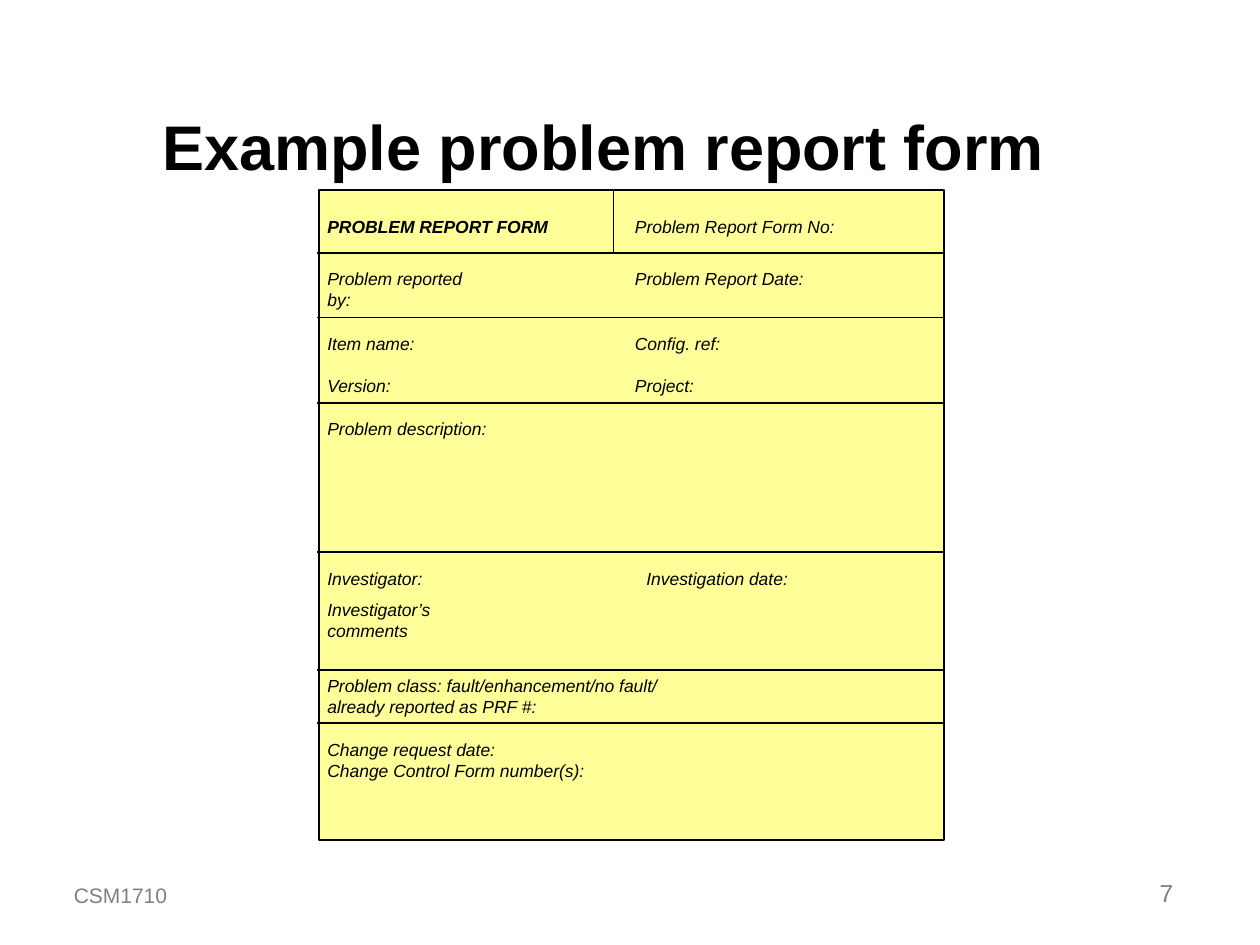
from lxml import etree
from pptx import Presentation
from pptx import util as u
from pptx.dml.color import RGBColor
from pptx.enum import shapes, text
from pptx.oxml.ns import qn

Cm, Pt = u.Cm, u.Pt
COLORS = {"ink": "000000", "form": "FFFF99", "footer": "808080"}
FONT = "Arial"

# Form geometry in cm
LEFT, RIGHT, TOP, BOTTOM = 6.4, 19.05, 3.83, 16.94
RULES = [5.1, 6.4, 8.13, 11.13, 13.51, 14.58]
DIVIDER = 12.37
COL1, COL2 = 6.35, 12.55

# Labels: left, top, width, lines
LABELS = [
    (COL2, 4.22, 4.55, ["Problem Report Form No:"]),
    (COL1, 5.28, 3.78, ["Problem reported by:"]),
    (COL2, 5.28, 3.91, ["Problem Report Date:"]),
    (COL1, 6.58, 2.26, ["Item name:"]),
    (COL2, 6.58, 2.24, ["Config. ref:"]),
    (COL1, 7.44, 1.8, ["Version:"]),
    (COL2, 7.44, 1.7, ["Project:"]),
    (COL1, 8.31, 3.71, ["Problem description:"]),
    (COL1, 11.33, 2.44, ["Investigator:"]),
    (12.78, 11.33, 3.38, ["Investigation date:"]),
    (COL1, 13.49, 7.26, ["Problem class: fault/enhancement/no fault/",
                          "already reported as PRF #:"]),
    (COL1, 14.78, 5.69, ["Change request date:",
                          "Change Control Form number(s):"]),
]


def rgb(name):
    return RGBColor.from_string(COLORS[name])


def set_font(p, size, color="ink", bold=False, italic=False):
    f = p.font
    f.name, f.size, f.bold, f.italic = FONT, Pt(size), bold, italic
    f.color.rgb = rgb(color)


def add_title(s, title):
    sp = s.shapes.title
    sp.left, sp.top, sp.width, sp.height = Cm(3.02), Cm(0.64), Cm(19.69), Cm(3.18)
    tf = sp.text_frame
    tf.text = title
    tf.auto_size = text.MSO_AUTO_SIZE.NONE
    tf.vertical_anchor = text.MSO_ANCHOR.BOTTOM
    p = tf.paragraphs[0]
    p.alignment = text.PP_ALIGN.LEFT
    set_font(p, 36, bold=True)


def add_rule(group, x1, y1, x2, y2):
    line = group.shapes.add_connector(
        shapes.MSO_CONNECTOR.STRAIGHT, Cm(x1), Cm(y1), Cm(x2), Cm(y2))
    line.line.color.rgb = rgb("ink")
    line.line.width = Pt(1)
    etree.SubElement(line._element.spPr, qn("a:effectLst"))


def add_label(group, left, top, width, lines, bold=False, wrap=False):
    height = 0.69 if len(lines) == 1 and not wrap else 1.12
    sp = group.shapes.add_textbox(Cm(left), Cm(top), Cm(width), Cm(height))
    tf = sp.text_frame
    tf.word_wrap = wrap
    tf.auto_size = text.MSO_AUTO_SIZE.SHAPE_TO_FIT_TEXT
    tf.text = "\n".join(lines)
    for p in tf.paragraphs:
        set_font(p, 10, bold=bold, italic=True)


def add_form(s):
    group = s.shapes.add_group_shape()

    # Sheet and its ruling
    sheet = group.shapes.add_shape(
        shapes.MSO_SHAPE.RECTANGLE, Cm(LEFT + 0.03), Cm(TOP),
        Cm(RIGHT - LEFT - 0.05), Cm(BOTTOM - TOP))
    sheet.shadow.inherit = False
    sheet.fill.solid()
    sheet.fill.fore_color.rgb = rgb("form")
    sheet.line.color.rgb = rgb("ink")
    sheet.line.width = Pt(1)
    for y in RULES:
        add_rule(group, LEFT, y, RIGHT, y)
    add_rule(group, DIVIDER, TOP, DIVIDER, RULES[0])

    # Field names
    add_label(group, COL1, 4.22, 4.95, ["PROBLEM REPORT FORM"], bold=True)
    for label in LABELS:
        add_label(group, *label)
    add_label(group, COL1, 11.96, 3.2, ["Investigator’s comments"], wrap=True)


def add_footer(s, left, width, content, size, align):
    sp = s.shapes.add_textbox(Cm(left), Cm(17.15), Cm(width), Cm(1.27))
    tf = sp.text_frame
    tf.word_wrap = True
    tf.vertical_anchor = text.MSO_ANCHOR.BOTTOM
    tf.text = content
    p = tf.paragraphs[0]
    p.alignment = align
    set_font(p, size, "footer")


def main():
    prs = Presentation()
    prs.slide_width, prs.slide_height = Cm(25.4), Cm(19.05)
    s = prs.slides.add_slide(prs.slide_layouts[5])
    add_title(s, "Example problem report form")
    add_form(s)
    add_footer(s, 1.24, 7.62, "CSM1710", 12, text.PP_ALIGN.LEFT)
    add_footer(s, 18.62, 5.28, "7", 14, text.PP_ALIGN.RIGHT)
    prs.save("out.pptx")


if __name__ == "__main__":
    main()
